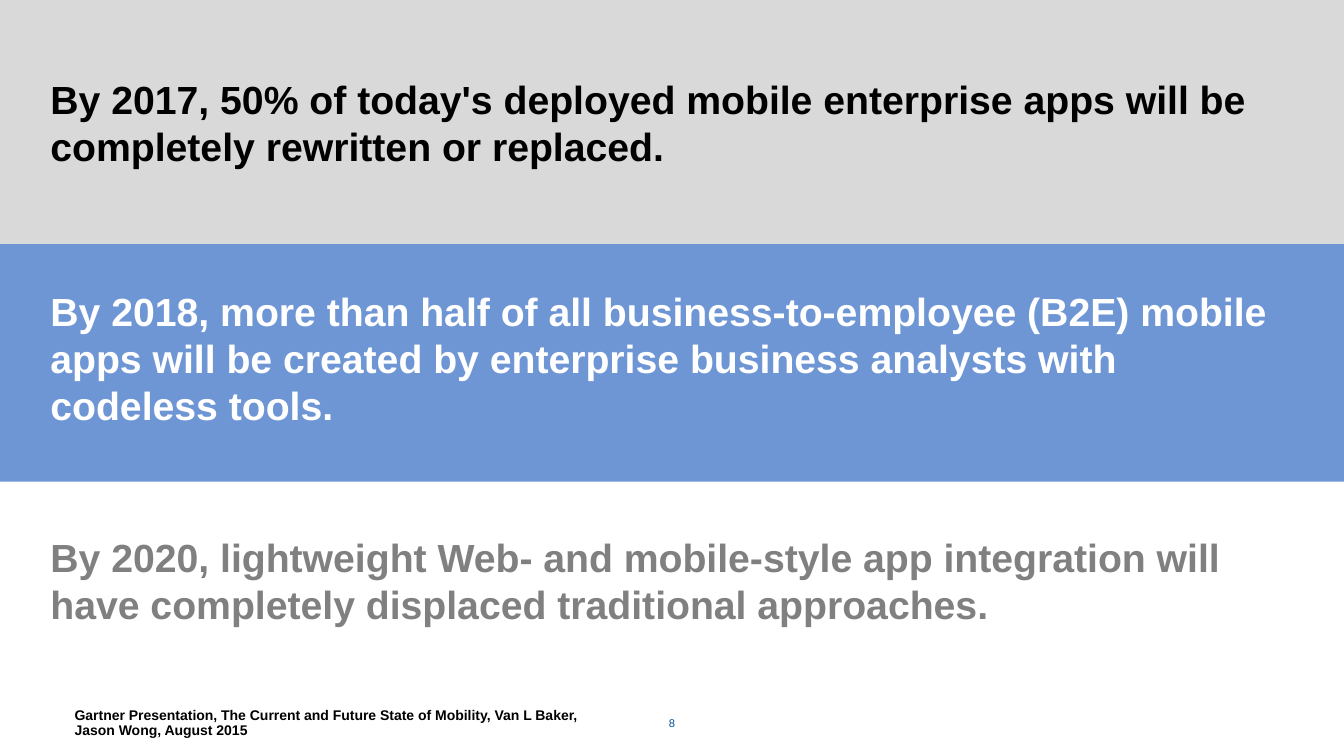
from dataclasses import dataclass

from pptx import Presentation
from pptx.dml.color import RGBColor
from pptx.enum.shapes import MSO_SHAPE
from pptx.enum.text import MSO_ANCHOR, PP_ALIGN
from pptx.util import Inches, Pt

RECT = MSO_SHAPE.RECTANGLE
MIDDLE, BOTTOM = MSO_ANCHOR.MIDDLE, MSO_ANCHOR.BOTTOM
LEFT, CENTER = PP_ALIGN.LEFT, PP_ALIGN.CENTER


@dataclass(frozen=True)
class Theme:
    font: str = "Arial"
    black: str = "000000"
    white: str = "FFFFFF"
    gray: str = "808080"
    light_gray: str = "D9D9D9"
    blue: str = "6E96D5"
    dark_blue: str = "00529B"
    statement_size: int = 28
    source_size: int = 10
    number_size: int = 8


class SlideBuilder:
    def __init__(self, slide, theme):
        self.slide = slide
        self.theme = theme

    def fill_text(self, shape, text, size, color, bold=True, anchor=MIDDLE,
                  align=LEFT, insets=(0.5, 0.05, 0.5, 0.05), spacing=None):
        tf = shape.text_frame
        left, top, right, bottom = (Inches(inset) for inset in insets)
        frame_format = {"word_wrap": True, "vertical_anchor": anchor,
                        "margin_left": left, "margin_top": top,
                        "margin_right": right, "margin_bottom": bottom}
        for name, value in frame_format.items():
            setattr(tf, name, value)
        p = tf.paragraphs[0]
        p.alignment = align
        p.line_spacing = spacing
        r = p.add_run()
        r.text = text
        run_format = {"name": self.theme.font, "size": Pt(size), "bold": bold}
        for name, value in run_format.items():
            setattr(r.font, name, value)
        r.font.color.rgb = RGBColor.from_string(color)

    def text(self, box, text, size, color, **style):
        shape = self.slide.shapes.add_textbox(*map(Inches, box))
        self.fill_text(shape, text, size, color, **style)

    def band(self, box, fill, text, size, color):
        shape = self.slide.shapes.add_shape(RECT, *map(Inches, box))
        shape.shadow.inherit = False
        shape.fill.solid()
        shape.fill.fore_color.rgb = RGBColor.from_string(fill)
        shape.line.fill.background()
        self.fill_text(shape, text, size, color)


def main():
    theme = Theme()
    prs = Presentation()
    prs.slide_width, prs.slide_height = Inches(13.33), Inches(7.5)
    s = SlideBuilder(prs.slides.add_slide(prs.slide_layouts[6]), theme)

    # Footer: source and slide number
    s.text((0.74, 7.02, 5.35, 0.31),
           "Gartner Presentation, The Current and Future State of Mobility, "
           "Van L Baker, Jason Wong, August 2015",
           theme.source_size, theme.black, anchor=BOTTOM,
           insets=(0, 0, 0, 0), spacing=0.9)
    s.text((6.33, 6.99, 0.67, 0.25), "8", theme.number_size, theme.dark_blue,
           bold=False, anchor=BOTTOM, align=CENTER, insets=(0.1, 0.05, 0.1, 0))

    # Predictions: the gray band overlaps the top of the blue one
    s.band((0, 2.32, 13.33, 2.46), theme.blue,
           "By 2018, more than half of all business-to-employee (B2E) mobile "
           "apps will be created by enterprise business analysts with "
           "codeless tools.", theme.statement_size, theme.white)
    s.band((0, 0, 13.33, 2.42), theme.light_gray,
           "By 2017, 50% of today's deployed mobile enterprise apps will be "
           "completely rewritten or replaced.",
           theme.statement_size, theme.black)
    s.text((0, 4.53, 13.33, 2.46),
           "By 2020, lightweight Web- and mobile-style app integration will "
           "have completely displaced traditional approaches.",
           theme.statement_size, theme.gray)

    prs.save("out.pptx")


if __name__ == "__main__":
    main()
